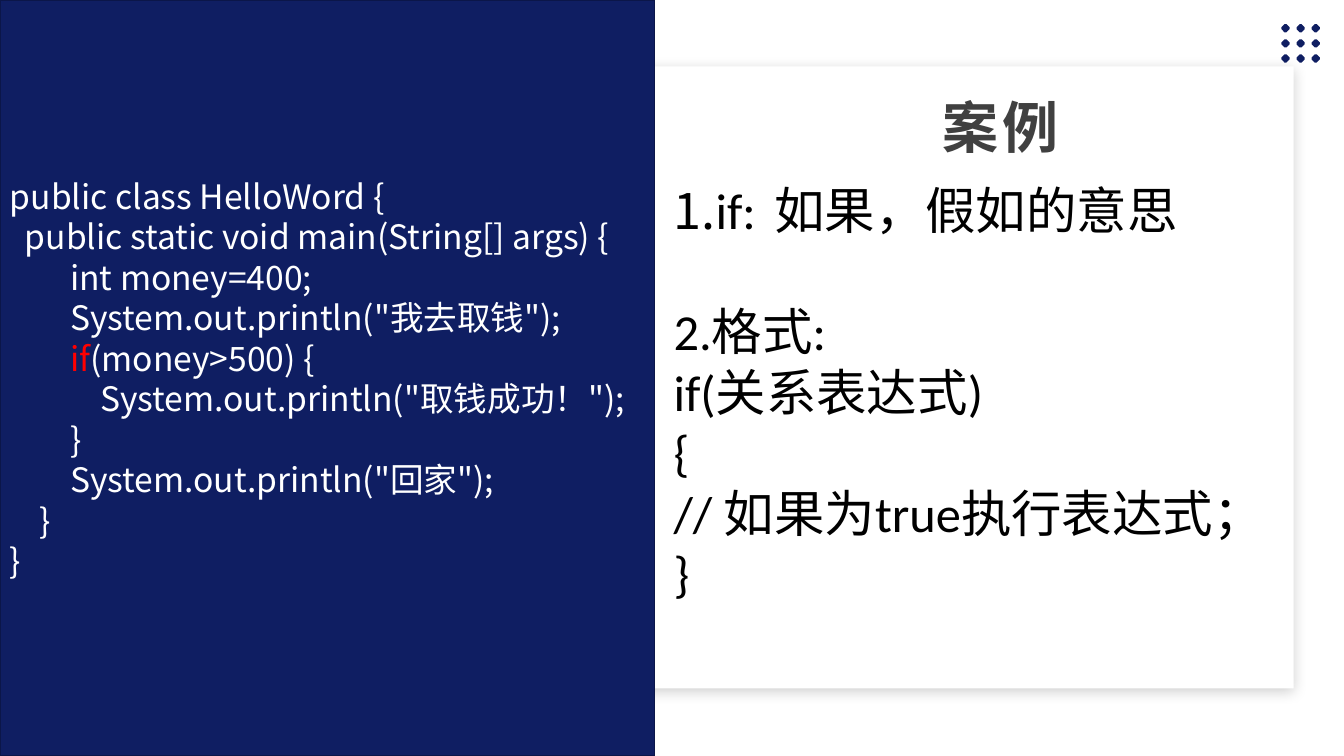
from lxml import etree
from pptx import Presentation
from pptx import util as u
from pptx.dml.color import RGBColor
from pptx.enum import shapes, text
from pptx.oxml import parse_xml
from pptx.oxml.ns import nsdecls, qn

CJK = "Noto Sans CJK SC"
NAVY = "0F1E62"
WHITE = "FFFFFF"
CODE = [
    "public class HelloWord {",
    "  public static void main(String[] args) {",
    "        int money=400;",
    '        System.out.println("我去取钱");',
    [("        ", WHITE), ("if", "FF0000"), ("(money>500) {", WHITE)],
    '            System.out.println("取钱成功！");',
    "        }",
    '        System.out.println("回家");',
    "    }",
    "}",
]
NOTES = ["if:\t如果，假如的意思", "2.格式:", "if(关系表达式)", "{",
         "// 如果为true执行表达式；", "}"]


def rgb(color):
    return RGBColor.from_string(color)


def add_run(p, content, size, color, font=CJK, bold=False, spacing=0):
    r = p.add_run()
    r.text = content
    r.font.size = u.Pt(size)
    r.font.name = font
    r.font.bold = bold
    r.font.color.rgb = rgb(color)
    r_pr = r.font._element
    if spacing:
        r_pr.set("spc", str(spacing * 100))
    ea = etree.SubElement(r_pr, qn("a:ea"))
    ea.set("typeface", CJK)
    return r


def add_rect(s, left, top, width, height, fill, line=None):
    sp = s.shapes.add_shape(shapes.MSO_SHAPE.RECTANGLE, u.Inches(left),
                            u.Inches(top), u.Inches(width), u.Inches(height))
    sp.shadow.inherit = False
    sp.fill.solid()
    sp.fill.fore_color.rgb = rgb(fill)
    if line:
        sp.line.color.rgb = rgb(line)
        sp.line.width = u.Pt(1)
    else:
        sp.line.fill.background()
    return sp


def add_soft_shadow(sp):
    effects = sp._element.spPr.find(qn("a:effectLst"))
    effects.append(parse_xml(
        f'<a:outerShdw {nsdecls("a")} blurRad="{u.Pt(10)}" dist="{u.Pt(3)}" '
        'dir="5400000" algn="t" rotWithShape="0"><a:srgbClr val="0D0D0D">'
        '<a:alpha val="20000"/></a:srgbClr></a:outerShdw>'))


def add_dot_grid(s, left, top, pitch, count):
    corners = [(0.01, -0.04), (0.04, -0.01), (0.04, 0.01), (0.01, 0.04),
               (-0.01, 0.04), (-0.04, 0.01), (-0.04, -0.01), (-0.01, -0.04)]
    builder = None
    for i in range(count * count):
        x, y = left + i % count * pitch, top + i // count * pitch
        points = [(u.Inches(x + dx), u.Inches(y + dy)) for dx, dy in corners]
        if builder is None:
            builder = s.shapes.build_freeform(*points[0])
        else:
            builder.move_to(*points[0])
        builder.add_line_segments(points[1:], close=True)
    sp = builder.convert_to_shape()
    sp.shadow.inherit = False
    sp.fill.solid()
    sp.fill.fore_color.rgb = rgb(NAVY)
    sp.line.fill.background()


def place(s, sp, left, top, width, height, anchor):
    s.shapes.element.append(sp.element)
    sp.left, sp.top = u.Inches(left), u.Inches(top)
    sp.width, sp.height = u.Inches(width), u.Inches(height)
    tf = sp.text_frame
    tf.word_wrap = True
    tf.auto_size = text.MSO_AUTO_SIZE.NONE
    tf.vertical_anchor = anchor
    return tf


def add_line(tf, first, pitch):
    p = tf.paragraphs[0] if first else tf.add_paragraph()
    p.alignment = text.PP_ALIGN.LEFT
    p.line_spacing = u.Pt(pitch)
    p.space_before = u.Pt(0)
    return p


def fill_title(s):
    tf = place(s, s.shapes.title, 7.69, 0.66, 4.46, 1.12, text.MSO_ANCHOR.MIDDLE)
    tf.margin_left = tf.margin_right = u.Inches(0.08)
    tf.margin_top, tf.margin_bottom = u.Inches(0.04), u.Inches(0.12)
    p = tf.paragraphs[0]
    p.alignment = text.PP_ALIGN.CENTER
    p.line_spacing = 1.2
    add_run(p, "案例", 40, "404040", bold=True, spacing=3)


def fill_code(sp):
    tf = sp.text_frame
    tf.word_wrap = True
    tf.vertical_anchor = text.MSO_ANCHOR.MIDDLE
    for i, line in enumerate(CODE):
        p = add_line(tf, i == 0, 28.9)
        for content, color in [(line, WHITE)] if isinstance(line, str) else line:
            add_run(p, content, 24, color)


def fill_notes(s):
    tf = place(s, s.placeholders[1], 6.58, 1.73, 5.97, 4.34, text.MSO_ANCHOR.TOP)
    tf.margin_right = 0
    for i, line in enumerate(NOTES):
        p = add_line(tf, i == 0, 43.2)
        p_pr = p._p.get_or_add_pPr()
        p_pr.set("marL", "0")
        p_pr.set("indent", "0")
        etree.SubElement(p_pr, qn("a:buNone"))
        if i == 0:
            tabs = etree.SubElement(p_pr, qn("a:tabLst"))
            etree.SubElement(tabs, qn("a:tab"), pos=str(u.Inches(1.16)), algn="l")
            add_run(p, "1.", 36, "000000")
        if line.startswith("2."):
            p.space_before = u.Pt(43.2)
        add_run(p, line, 36, "000000", font="Calibri")


def main():
    prs = Presentation()
    prs.slide_width, prs.slide_height = u.Inches(13.33), u.Inches(7.5)
    s = prs.slides.add_slide(prs.slide_layouts[1])
    add_dot_grid(s, 12.75, 0.28, 0.15, 3)
    add_soft_shadow(add_rect(s, 0.5, 0.66, 12.33, 6.17, WHITE))
    fill_title(s)
    fill_code(add_rect(s, 0, 0, 6.49, 7.5, NAVY, line="0B1649"))
    fill_notes(s)
    prs.save("out.pptx")


if __name__ == "__main__":
    main()
